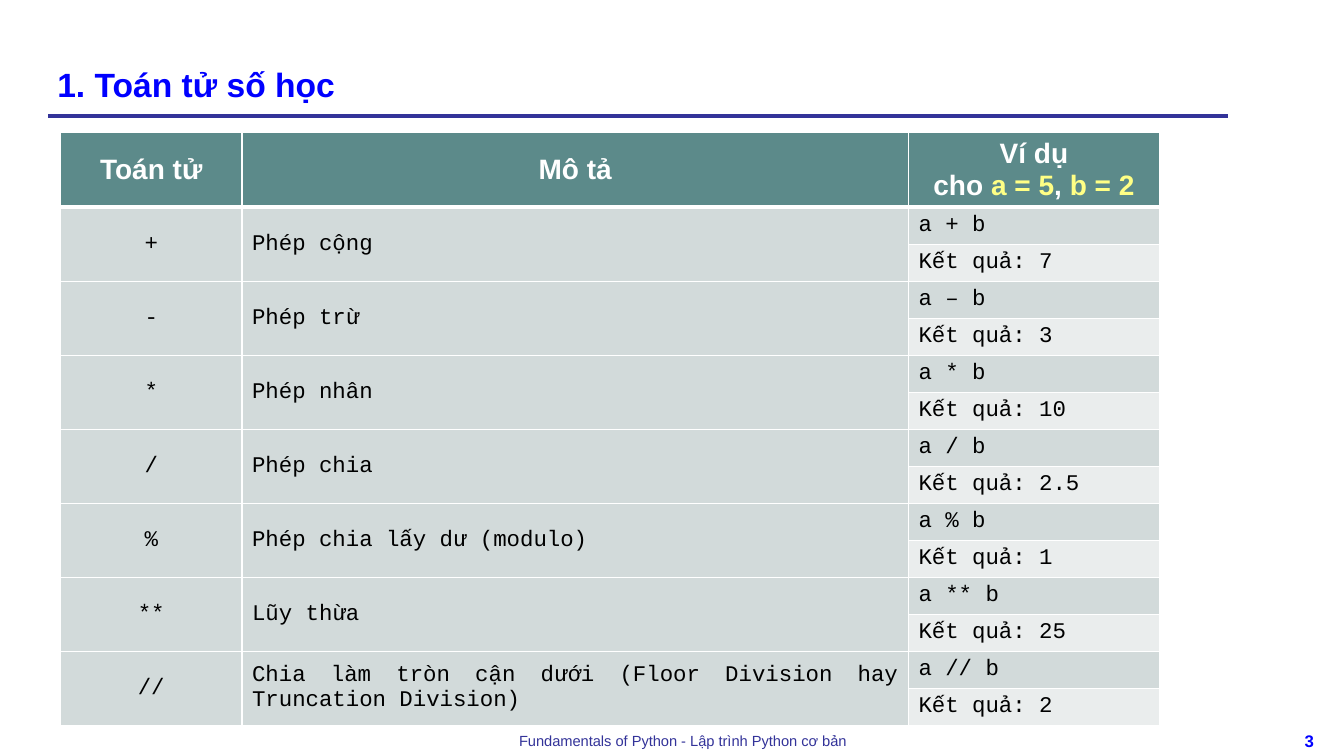
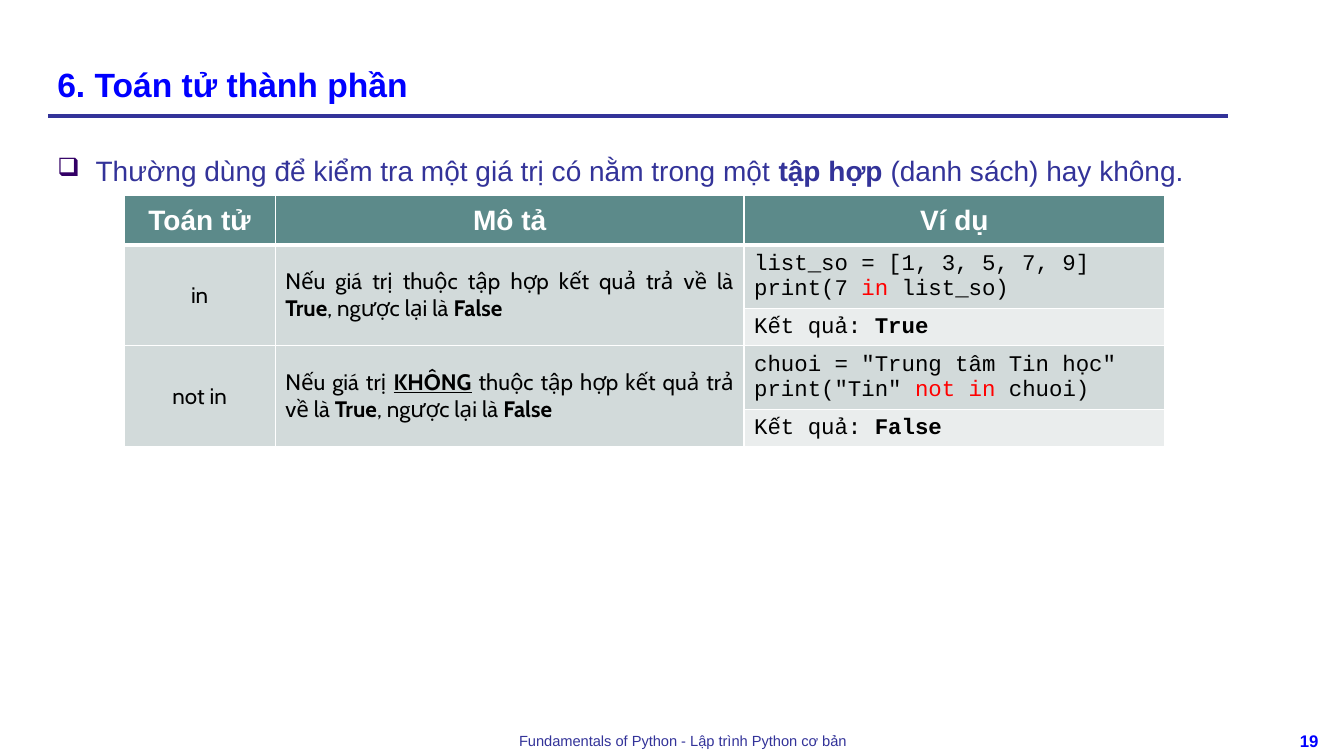
from dataclasses import dataclass

from lxml.etree import SubElement
from pptx import Presentation
from pptx.dml.color import RGBColor
from pptx.enum.shapes import MSO_CONNECTOR
from pptx.enum.text import MSO_ANCHOR, PP_ALIGN
from pptx.oxml.ns import qn
from pptx.util import Inches, Pt


@dataclass(frozen=True)
class Theme:
    title: str = "0000FF"
    ink: str = "333399"
    bullet: str = "330066"
    header: str = "5C8A8A"
    code: str = "D2DADA"
    result: str = "EAEDED"
    white: str = "FFFFFF"
    black: str = "000000"
    yellow: str = "FFFF85"
    red: str = "FF0000"
    sans: str = "Arial"
    mono: str = "Courier New"
    round: str = "Cabin"
    title_size: float = 24
    body_size: float = 20
    cell_size: float = 16
    page_size: float = 12
    footer_size: float = 10.5


T = Theme()
FOOTER = "Fundamentals of Python - Lập trình Python cơ bản"
BOLD = {"bold": True}
TITLE = {"name": T.sans, "size": T.title_size, "color": T.title, "bold": True}
BODY = {"name": T.sans, "size": T.body_size, "color": T.ink}
FOOT = {"name": T.sans, "size": T.footer_size, "color": T.ink}
PAGE = TITLE | {"size": T.page_size}
HEAD = {"name": T.sans, "size": T.body_size, "color": T.white, "bold": True}
MONO = {"name": T.mono, "size": T.cell_size, "color": T.black}
ROUND = MONO | {"name": T.round}
YELLOW = {"color": T.yellow}
RED = {"color": T.red}


class Deck:
    """Draws styled elements on the current slide of a presentation."""

    def __init__(self, prs):
        self.prs = prs
        self.s = None

    def slide(self, title, number):
        self.s = self.prs.slides.add_slide(self.prs.slide_layouts[6])
        self.rule(0.48, 12.18, 1.15)
        self.text((3.22, 7.21, 7.11, 0.29), FOOTER, FOOT, PP_ALIGN.CENTER)
        self.text((12.67, 7.2, 0.63, 0.3), str(number), PAGE, PP_ALIGN.CENTER)
        self.text((0.47, 0.21, 11.55, 0.87), title, TITLE, anchor=MSO_ANCHOR.BOTTOM)

    def rule(self, left, right, y):
        line = self.s.shapes.add_connector(
            MSO_CONNECTOR.STRAIGHT, Inches(left), Inches(y), Inches(right), Inches(y))
        line.line.color.rgb = RGBColor.from_string(T.ink)
        line.line.width = Pt(3)
        SubElement(line._element.spPr, qn("a:effectLst"))

    def text(self, box, content, style, align=PP_ALIGN.LEFT, anchor=MSO_ANCHOR.TOP):
        tf = self.s.shapes.add_textbox(*map(Inches, box)).text_frame
        tf.word_wrap = True
        tf.vertical_anchor = anchor
        self.fill_text(tf, content, style, align)
        return tf

    def bullet(self, box, content):
        p = self.text(box, content, BODY).paragraphs[0]
        p.line_spacing = 1.5
        pPr = p._p.get_or_add_pPr()
        pPr.set("marL", str(Inches(0.38)))
        pPr.set("indent", str(-Inches(0.38)))
        color = SubElement(pPr, qn("a:buClr"))
        SubElement(color, qn("a:srgbClr"), val=T.bullet)
        SubElement(pPr, qn("a:buSzPct"), val="90000")
        SubElement(pPr, qn("a:buChar"), char="❑")

    def fill_text(self, tf, content, style, align):
        paragraphs = [[content]] if isinstance(content, str) else content
        for i, runs in enumerate(paragraphs):
            p = tf.add_paragraph() if i else tf.paragraphs[0]
            p.alignment = align
            for run in runs:
                words, extra = (run, {}) if isinstance(run, str) else run
                r = p.add_run()
                r.text = words
                self.style_font(r.font, {"bold": False} | style | extra)

    def style_font(self, font, values):
        for key, value in values.items():
            if key == "color":
                font.color.rgb = RGBColor.from_string(value)
            else:
                setattr(font, key, Pt(value) if key == "size" else value)

    def cell(self, cell, fill, content=None, style=MONO, align=PP_ALIGN.JUSTIFY, bottom=1):
        tcPr = cell._tc.get_or_add_tcPr()
        for side, width in (("L", 1), ("R", 1), ("T", 1), ("B", bottom)):
            ln = SubElement(tcPr, qn(f"a:ln{side}"), w=str(Pt(width)))
            SubElement(SubElement(ln, qn("a:solidFill")), qn("a:srgbClr"), val=T.white)
        cell.fill.solid()
        cell.fill.fore_color.rgb = RGBColor.from_string(fill)
        cell.vertical_anchor = MSO_ANCHOR.MIDDLE
        cell.margin_top = cell.margin_bottom = Inches(0.04 if fill == T.header else 0.05)
        if content:
            self.fill_text(cell.text_frame, content, style, align)

    def table(self, left, top, widths, head_height, pair_heights, heads, rows, style, code_align):
        heights = [head_height] + list(pair_heights) * len(rows)
        table = self.s.shapes.add_table(
            len(heights), len(widths), Inches(left), Inches(top),
            Inches(sum(widths)), Inches(sum(heights))).table
        table.first_row = table.horz_banding = False
        for column, width in zip(table.columns, widths):
            column.width = Inches(width)
        for row, height in zip(table.rows, heights):
            row.height = Inches(height)
        for c, head in enumerate(heads):
            self.cell(table.cell(0, c), T.header, head, HEAD, PP_ALIGN.CENTER, bottom=3)
        for i, (operator, description, code, result) in enumerate(rows):
            r = 1 + 2 * i
            for c in (0, 1):
                table.cell(r, c).merge(table.cell(r + 1, c))
                self.cell(table.cell(r + 1, c), T.code)
            self.cell(table.cell(r, 0), T.code, operator, style, PP_ALIGN.CENTER)
            self.cell(table.cell(r, 1), T.code, description, style)
            self.cell(table.cell(r, 2), T.code, code, align=code_align)
            self.cell(table.cell(r + 1, 2), T.result, [["Kết quả: ", result]])


def arithmetic(deck):
    deck.slide("1. Toán tử số học", 3)
    operators = [
        ("+", "Phép cộng", "a + b", "7"),
        ("-", "Phép trừ", "a – b", "3"),
        ("*", "Phép nhân", "a * b", "10"),
        ("/", "Phép chia", "a / b", "2.5"),
        ("%", "Phép chia lấy dư (modulo)", "a % b", "1"),
        ("**", "Lũy thừa", "a ** b", "25"),
        ("//", "Chia làm tròn cận dưới (Floor Division hay Truncation Division)",
         "a // b", "2"),
    ]
    example = [["Ví dụ"], ["cho ", ("a = 5", YELLOW), ", ", ("b = 2", YELLOW)]]
    deck.table(0.6, 1.31, (1.8, 6.61, 2.49), 0.72, (0.35, 0.35),
               ("Toán tử", "Mô tả", example), operators, MONO, PP_ALIGN.JUSTIFY)


def membership(deck):
    deck.slide("6. Toán tử thành phần", 19)
    deck.bullet((0.47, 1.31, 11.55, 5.67), [[
        "Thường dùng để kiểm tra một giá trị có nằm trong một ",
        ("tập hợp ", BOLD), "(danh sách) hay không."]])
    outcome = [("True", BOLD), ", ngược lại là ", ("False", BOLD)]
    operators = [
        ("in",
         [["Nếu giá trị thuộc tập hợp kết quả trả về là ", *outcome]],
         [["list_so = [1, 3, 5, 7, 9]"], ["print(7 ", ("in", RED), " list_so)"]],
         ("True", BOLD)),
        ("not in",
         [["Nếu giá trị ", ("KHÔNG", BOLD | {"underline": True}),
           " thuộc tập hợp kết quả trả về là ", *outcome]],
         [['chuoi = "Trung tâm Tin học"'],
          ['print("Tin" ', ("not in ", RED), "chuoi)"]],
         ("False", BOLD)),
    ]
    deck.table(1.23, 1.94, (1.5, 4.65, 4.17), 0.49, (0.6, 0.35),
               ("Toán tử", "Mô tả", "Ví dụ"), operators, ROUND, PP_ALIGN.LEFT)


def main():
    prs = Presentation()
    prs.slide_width = Inches(13.33)
    prs.slide_height = Inches(7.5)
    deck = Deck(prs)
    arithmetic(deck)
    membership(deck)
    prs.save("out.pptx")


if __name__ == "__main__":
    main()
